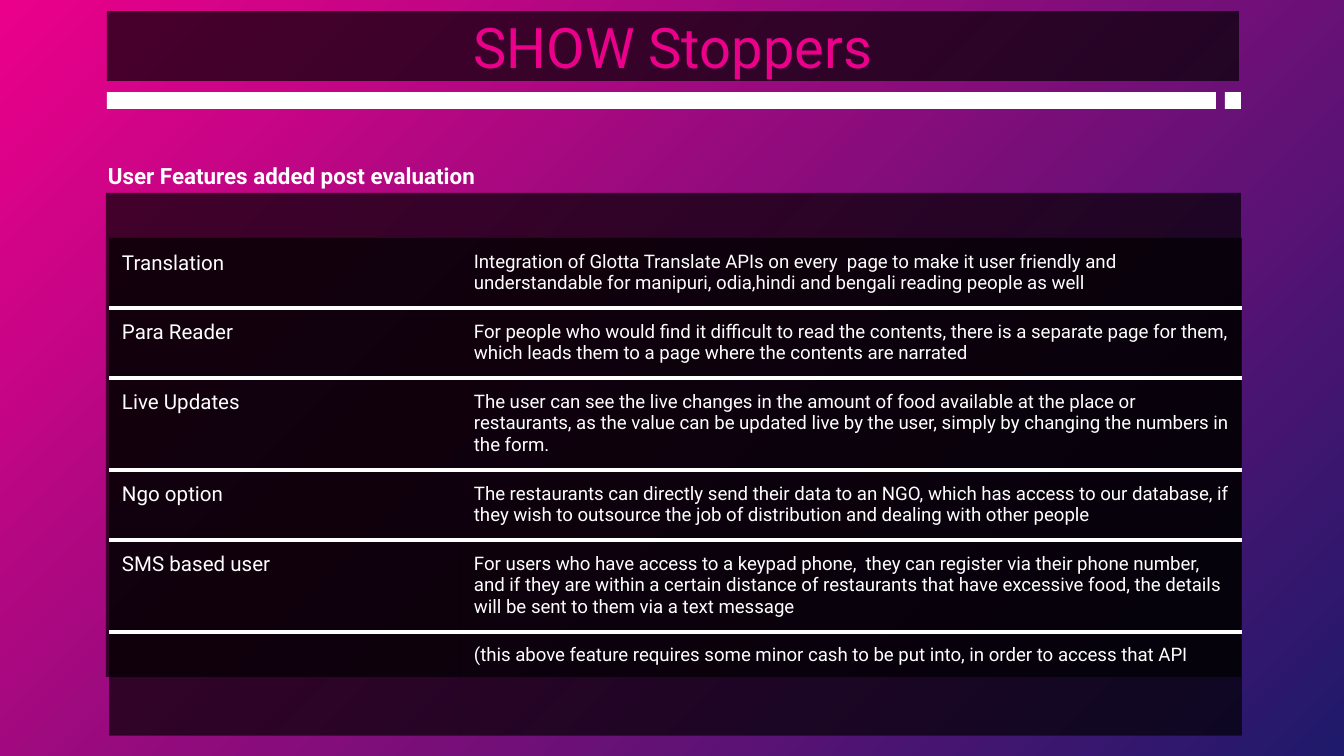
from typing import NamedTuple

from lxml.etree import SubElement
from pptx import Presentation
from pptx.dml.color import RGBColor
from pptx.enum.shapes import MSO_SHAPE as Shape
from pptx.enum.text import MSO_ANCHOR as Anchor, PP_ALIGN as Align
from pptx.oxml.ns import qn
from pptx.util import Emu, Pt

PX = 914400 / 134.4
FONT = "Roboto"
PINK = RGBColor(0xEB, 0x00, 0x8B)
INDIGO = RGBColor(0x1F, 0x1A, 0x6B)
BLACK = RGBColor(0, 0, 0)
WHITE = RGBColor(0xFF, 0xFF, 0xFF)
VEIL_OPACITY = 68
INSET = 13
RULE_WIDTH = Pt(2.25)


class Box(NamedTuple):
    left: int
    top: int
    width: int
    height: int


class Feature(NamedTuple):
    name: str
    description: str
    height: int


PANEL = Box(106, 193, 1135, 484)
TITLE = Box(107, 11, 1132, 70)
SUBTITLE = Box(95, 149, 1133, 70)
BARS = [Box(107, 92, 1109, 17), Box(1225, 92, 16, 17)]
TABLE_LEFT, TABLE_TOP = 109, 238
COLUMN_WIDTHS = [352, 781]
FEATURES = [
    Feature("Translation",
            "Integration of Glotta Translate APIs on every  page to make it user friendly and "
            "understandable for manipuri, odia,hindi and bengali reading people as well", 70),
    Feature("Para Reader",
            "For people who would find it difficult to read the contents, there is a separate "
            "page for them, which leads them to a page where the contents are narrated", 70),
    Feature("Live Updates",
            "The user can see the live changes in the amount of food available at the place or "
            "restaurants, as the value can be updated live by the user, simply by changing the "
            "numbers in the form.", 92),
    Feature("Ngo option",
            "The restaurants can directly send their data to an NGO, which has access to our "
            "database, if they wish to outsource the job of distribution and dealing with other "
            "people", 70),
    Feature("SMS based user",
            "For users who have access to a keypad phone,  they can register via their phone "
            "number, and if they are within a certain distance of restaurants that have "
            "excessive food, the details will be sent to them via a text message", 92),
    Feature("",
            "(this above feature requires some minor cash to be put into, in order to access "
            "that API", 104),
]


def px(length: int) -> Emu:
    return Emu(round(length * PX))


def emu_box(box: Box) -> list[Emu]:
    return [px(length) for length in box]


def paint_background(slide) -> None:
    """Radial gradient spreading from the top left corner."""
    fill = slide.background.fill
    fill.gradient()
    for stop, color, position in zip(fill.gradient_stops, (PINK, INDIGO), (0, 1)):
        stop.color.rgb = color
        stop.position = position
    gradient = slide.element.find(".//" + qn("a:gradFill"))
    gradient.remove(gradient.find(qn("a:lin")))
    circle = SubElement(gradient, qn("a:path"), path="circle")
    SubElement(circle, qn("a:fillToRect"), l="0", t="0", r="100000", b="100000")


def fill_veil(fill, element) -> None:
    """Translucent black fill on a shape or a cell."""
    fill.solid()
    fill.fore_color.rgb = BLACK
    color = element.find(".//" + qn("a:solidFill") + "/" + qn("a:srgbClr"))
    SubElement(color, qn("a:alpha"), val=str(VEIL_OPACITY * 1000))


def add_rectangle(shapes, box: Box):
    rectangle = shapes.add_shape(Shape.RECTANGLE, *emu_box(box))
    rectangle.shadow.inherit = False
    rectangle.line.fill.background()
    return rectangle


def add_veil(shapes, box: Box):
    veil = add_rectangle(shapes, box)
    fill_veil(veil.fill, veil.element.spPr)
    return veil


def set_insets(frame, right: int = INSET) -> None:
    frame.margin_left = frame.margin_top = frame.margin_bottom = px(INSET)
    frame.margin_right = px(right)


def write(frame, text: str, size: int, color: RGBColor = WHITE, bold: bool = False):
    frame.text = text
    frame.word_wrap = True
    paragraph = frame.paragraphs[0]
    for font in [paragraph.font] + [run.font for run in paragraph.runs]:
        font.name, font.size, font.bold = FONT, Pt(size), bold
        font.color.rgb = color
    return paragraph


def set_borders(cell, ruled_sides: str) -> None:
    """White rules on the given sides (letters of LRTB), nothing on the others."""
    properties = cell._tc.get_or_add_tcPr()
    for side in "LRTB":
        ruled = side in ruled_sides
        line = SubElement(properties, qn(f"a:ln{side}"), w=str(RULE_WIDTH if ruled else 0))
        if ruled:
            solid = SubElement(line, qn("a:solidFill"))
            SubElement(solid, qn("a:srgbClr"), val=str(WHITE))
        else:
            SubElement(line, qn("a:noFill"))


def fill_cell(cell, text: str, size: int, ruled_sides: str) -> None:
    set_insets(cell)
    set_borders(cell, ruled_sides)
    cell.fill.solid()
    fill = cell._tc.tcPr.find(qn("a:solidFill"))
    cell.fill.fore_color.rgb = BLACK
    SubElement(fill.find(qn("a:srgbClr")), qn("a:alpha"), val=str(VEIL_OPACITY * 1000))
    write(cell.text_frame, text, size)


def add_feature_table(shapes, features: list[Feature]) -> None:
    box = Box(TABLE_LEFT, TABLE_TOP, sum(COLUMN_WIDTHS), sum(f.height for f in features))
    table = shapes.add_table(len(features), len(COLUMN_WIDTHS), *emu_box(box)).table
    table.first_row = table.horz_banding = False
    for column, width in zip(table.columns, COLUMN_WIDTHS):
        column.width = px(width)
    last = len(features) - 1
    for index, feature in enumerate(features):
        table.rows[index].height = px(feature.height)
        ruled_sides = ("T" if index > 0 else "") + ("B" if index < last else "")
        fill_cell(table.cell(index, 0), feature.name, 11, ruled_sides)
        fill_cell(table.cell(index, 1), feature.description, 10, ruled_sides)


def main() -> None:
    deck = Presentation()
    deck.slide_width, deck.slide_height = px(1344), px(756)
    slide = deck.slides.add_slide(deck.slide_layouts[6])
    shapes = slide.shapes
    paint_background(slide)

    add_veil(shapes, PANEL)

    title = add_veil(shapes, TITLE).text_frame
    set_insets(title)
    title.vertical_anchor = Anchor.MIDDLE
    write(title, "SHOW Stoppers", 30, PINK).alignment = Align.CENTER

    add_feature_table(shapes, FEATURES)

    subtitle = shapes.add_textbox(*emu_box(SUBTITLE)).text_frame
    set_insets(subtitle, right=0)
    write(subtitle, "User Features added post evaluation", 12, bold=True)

    underline = shapes.add_group_shape()
    for box in BARS:
        bar = add_rectangle(underline.shapes, box)
        bar.fill.solid()
        bar.fill.fore_color.rgb = WHITE

    deck.save("out.pptx")


if __name__ == "__main__":
    main()
